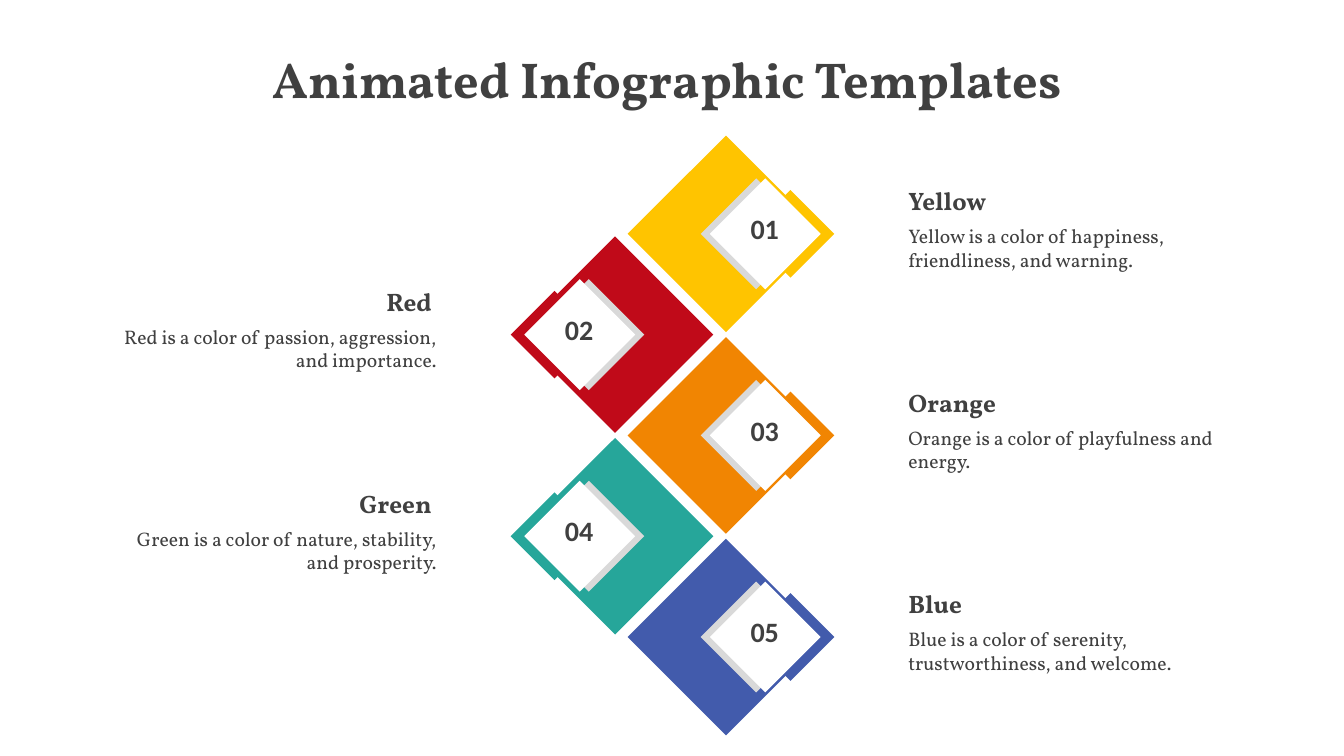
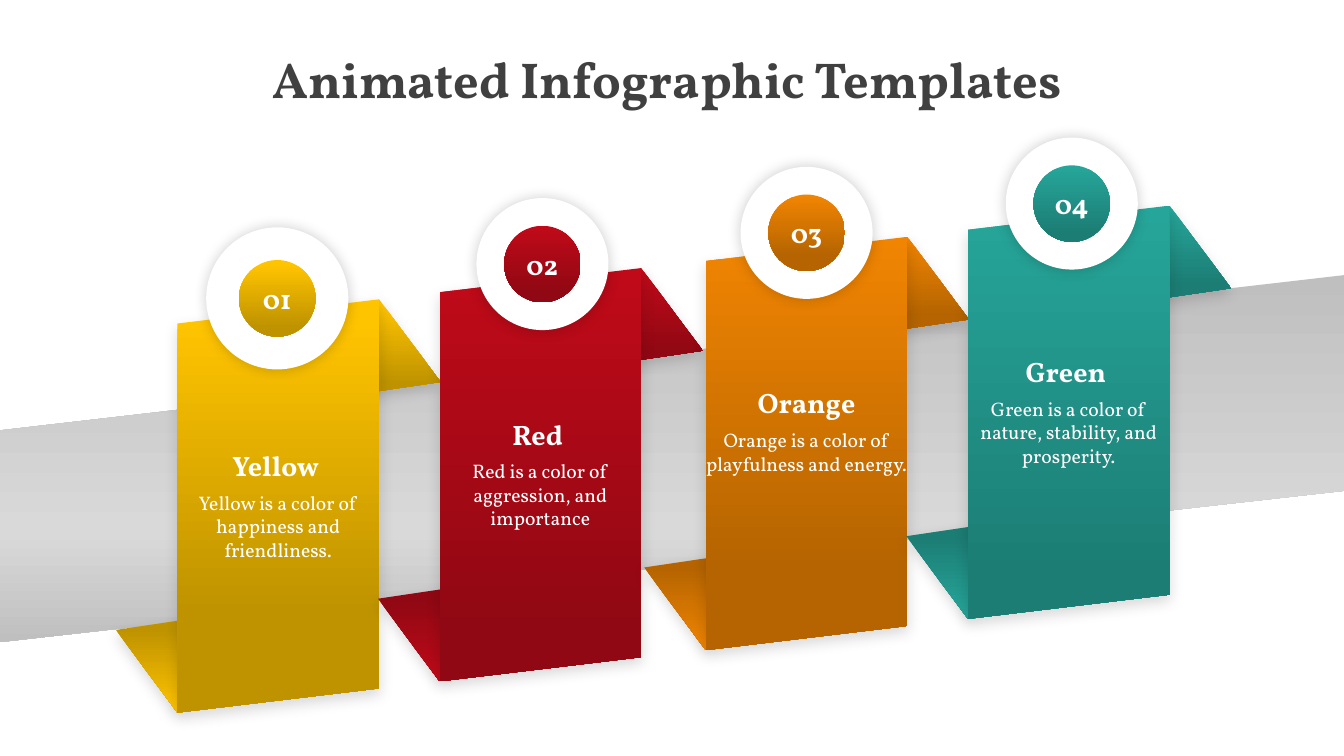
"""Build two colour infographic slides: a diamond ladder and a folded ribbon."""
from copy import deepcopy

from lxml import etree
from pptx import Presentation
from pptx.dml.color import RGBColor
from pptx.enum import shapes, text
from pptx.oxml.ns import qn
from pptx.util import Inches, Pt

SERIF, SANS = "Vollkorn", "Calibri"
INK = RGBColor(0x40, 0x40, 0x40)
WHITE = RGBColor(0xFF, 0xFF, 0xFF)
SILVER = RGBColor(0xD9, 0xD9, 0xD9)
GREY = RGBColor(0xBF, 0xBF, 0xBF)
YELLOW, DARK_YELLOW = RGBColor(0xFF, 0xC4, 0x00), RGBColor(0xBF, 0x93, 0x00)
RED, DARK_RED = RGBColor(0xC0, 0x0A, 0x19), RGBColor(0x90, 0x08, 0x13)
ORANGE, DARK_ORANGE = RGBColor(0xF1, 0x85, 0x02), RGBColor(0xB5, 0x64, 0x01)
GREEN, DARK_GREEN = RGBColor(0x26, 0xA6, 0x9A), RGBColor(0x1C, 0x7D, 0x74)
BLUE = RGBColor(0x42, 0x5B, 0xAC)
LEFT, CENTER, RIGHT = (text.PP_ALIGN.LEFT, text.PP_ALIGN.CENTER,
                       text.PP_ALIGN.RIGHT)

DIAMONDS = [
    (YELLOW, "Yellow ", "Yellow is a color of happiness, friendliness, and warning."),
    (RED, "Red ", "Red is a color of passion, aggression, and importance."),
    (ORANGE, "Orange ", "Orange is a color of playfulness and energy."),
    (GREEN, "Green ", "Green is a color of nature, stability, and prosperity."),
    (BLUE, "Blue ", "Blue is a color of serenity, trustworthiness, and welcome."),
]

# Panel left, badge centre x, y and size, colours, end stops of panel, flap and badge.
PANELS = [
    (1.76, 2.75, 2.96, 1.41, YELLOW, DARK_YELLOW, (5, 76), (5, 87), (5, 87),
     "Yellow ", "Yellow is a color of happiness and friendliness."),
    (4.36, 5.38, 2.62, 1.31, RED, DARK_RED, (0, 88), (0, 88), (0, 88),
     "Red ", "Red is a color of aggression, and importance"),
    (7, 8, 2.31, 1.31, ORANGE, DARK_ORANGE, (0, 81), (0, 81), (0, 81),
     "Orange", "Orange is a color of playfulness and energy."),
    (9.6, 10.63, 2.02, 1.31, GREEN, DARK_GREEN, (0, 90), (0, 83), (0, 90),
     "Green ", "Green is a color of nature, stability, and prosperity."),
]
PANEL = [(2, 0), (2, 3.86), (0, 4.1), (0, 0.24)]
LOWER_FLAP = [(0.33, 3.14), (0, 4.1), (-0.61, 3.28)]
UPPER_FLAP = [(1.66, 0.96), (2, 0), (2.61, 0.82)]
BAND = [(13.33, 2.73), (0, 4.27), (0, 6.37), (13.33, 4.87)]


def write(p, words, size, color, align=CENTER, bold=True, font=SERIF):
    """Fill one paragraph and set its font."""
    p.text, p.alignment = words, align
    f = p.font
    f.name, f.size, f.bold = font, Pt(size), bold
    f.color.rgb = color


def text_box(parent, x, y, w, h):
    """Add a wrapping text box and return its text frame."""
    tf = parent.shapes.add_textbox(Inches(x), Inches(y), Inches(w), Inches(h)).text_frame
    tf.word_wrap = True
    return tf


def caption(parent, x, y, w, heading, body, size, color, align):
    """Add a bold heading with a line of body text under it."""
    tf = text_box(parent, x, y, w, 1.05)
    write(tf.paragraphs[0], heading, size, color, align)
    p = tf.add_paragraph()
    write(p, body, 14, color, align, bold=False)
    p.space_before = Pt(6)


def paint(sp, color):
    """Give a shape a plain fill without line or shadow."""
    sp.shadow.inherit = False
    sp.line.fill.background()
    sp.fill.solid()
    sp.fill.fore_color.rgb = color


def shade(sp, *stops):
    """Give a shape a top-to-bottom gradient of (percent, colour) stops."""
    paint(sp, WHITE)
    sp.fill.gradient()
    sp.fill.gradient_angle = 270
    gs_list = sp._element.spPr.find(".//" + qn("a:gsLst"))
    while len(gs_list) < len(stops):
        gs_list.append(deepcopy(gs_list[0]))
    for gs, (percent, color) in zip(sp.fill.gradient_stops, stops):
        gs.position = percent / 100
        gs.color.rgb = color


def soft_shadow(sp, percent, distance):
    """Add a blurred black shadow that falls downwards."""
    effects = sp._element.spPr.find(qn("a:effectLst"))
    shadow = etree.SubElement(
        effects, qn("a:outerShdw"), blurRad=str(Pt(10)), dist=str(Pt(distance)),
        dir="5400000", algn="ctr", rotWithShape="0")
    black = etree.SubElement(shadow, qn("a:srgbClr"), val="000000")
    etree.SubElement(black, qn("a:alpha"), val=str(percent * 1000))


def centred(parent, kind, cx, cy, size):
    """Add a preset shape of equal sides around a centre."""
    return parent.shapes.add_shape(kind, Inches(cx - size / 2), Inches(cy - size / 2),
                                   Inches(size), Inches(size))


def polygon(parent, points, x=0, y=0):
    """Add a closed outline, moved by x and y."""
    pts = [(Inches(x + dx), Inches(y + dy)) for dx, dy in points]
    builder = parent.shapes.build_freeform(*pts[0])
    builder.add_line_segments(pts[1:], close=True)
    return builder.convert_to_shape()


def new_slide(prs):
    """Add a blank slide with the shared title."""
    s = prs.slides.add_slide(prs.slide_layouts[6])
    tf = text_box(s, 0, 0.43, 13.33, 0.71)
    write(tf.paragraphs[0], "Animated Infographic Templates ", 36, INK)
    return s


def diamond_step(s, i, color, heading, body):
    """Add one numbered diamond, on alternating sides, with its caption."""
    side = -1 if i % 2 else 1
    cy = 2.32 + i
    group = s.shapes.add_group_shape()
    for cx, size, fill in [(6.65 + side * 0.55, 1.95, color),
                           (6.67 + side * 1.17, 0.87, color),
                           (6.67 + side * 0.83, 1.1, SILVER),
                           (6.67 + side * 0.92, 1.1, WHITE)]:
        paint(centred(group, shapes.MSO_SHAPE.DIAMOND, cx, cy, size), fill)
    tf = text_box(group, 6.67 + side * 0.92 - 0.44, cy - 0.27, 0.87, 0.53)
    write(tf.paragraphs[0], f"{i + 1:02}", 20, INK, font=SANS)
    x, align = (8.91, LEFT) if side > 0 else (0.91, RIGHT)
    caption(s, x, cy - 0.53, 3.52, heading, body, 18, INK, align)


def ribbon_panel(s, i, x, badge_x, badge_y, badge_size, light, dark,
                 panel_ends, flap_ends, badge_ends, heading, body):
    """Add one folded panel with its flaps, caption and numbered badge."""
    y = 2.97 - 0.31 * i
    group = s.shapes.add_group_shape()
    for points, (start, end), colors in [
            (LOWER_FLAP, (14, 100), (dark, light)),
            (UPPER_FLAP, flap_ends, (light, dark)),
            (PANEL, panel_ends, (light, dark))]:
        sp = polygon(group, points, x, y)
        shade(sp, (start, colors[0]), (end, colors[1]))
        soft_shadow(sp, 15, 4)
    caption(group, x - 0.1, y + 1.43, 2.2, heading, body, 20, WHITE, CENTER)

    ring = centred(group, shapes.MSO_SHAPE.OVAL, badge_x, badge_y, badge_size)
    paint(ring, WHITE)
    soft_shadow(ring, 20, 0)
    badge = centred(group, shapes.MSO_SHAPE.OVAL, badge_x, badge_y, 0.76)
    shade(badge, (badge_ends[0], light), (badge_ends[1], dark))
    tf = badge.text_frame
    tf.margin_left = tf.margin_right = 0
    tf.vertical_anchor = text.MSO_ANCHOR.MIDDLE
    write(tf.paragraphs[0], f"{i + 1:02}", 20, WHITE)


def main():
    """Build both slides and save them."""
    prs = Presentation()
    prs.slide_width, prs.slide_height = Inches(13.33), Inches(7.5)

    s = new_slide(prs)
    for i, step in enumerate(DIAMONDS):
        diamond_step(s, i, *step)

    s = new_slide(prs)
    shade(polygon(s, BAND), (0, GREY), (70, SILVER), (100, GREY))
    for i, panel in enumerate(PANELS):
        ribbon_panel(s, i, *panel)

    prs.save("out.pptx")


if __name__ == "__main__":
    main()
